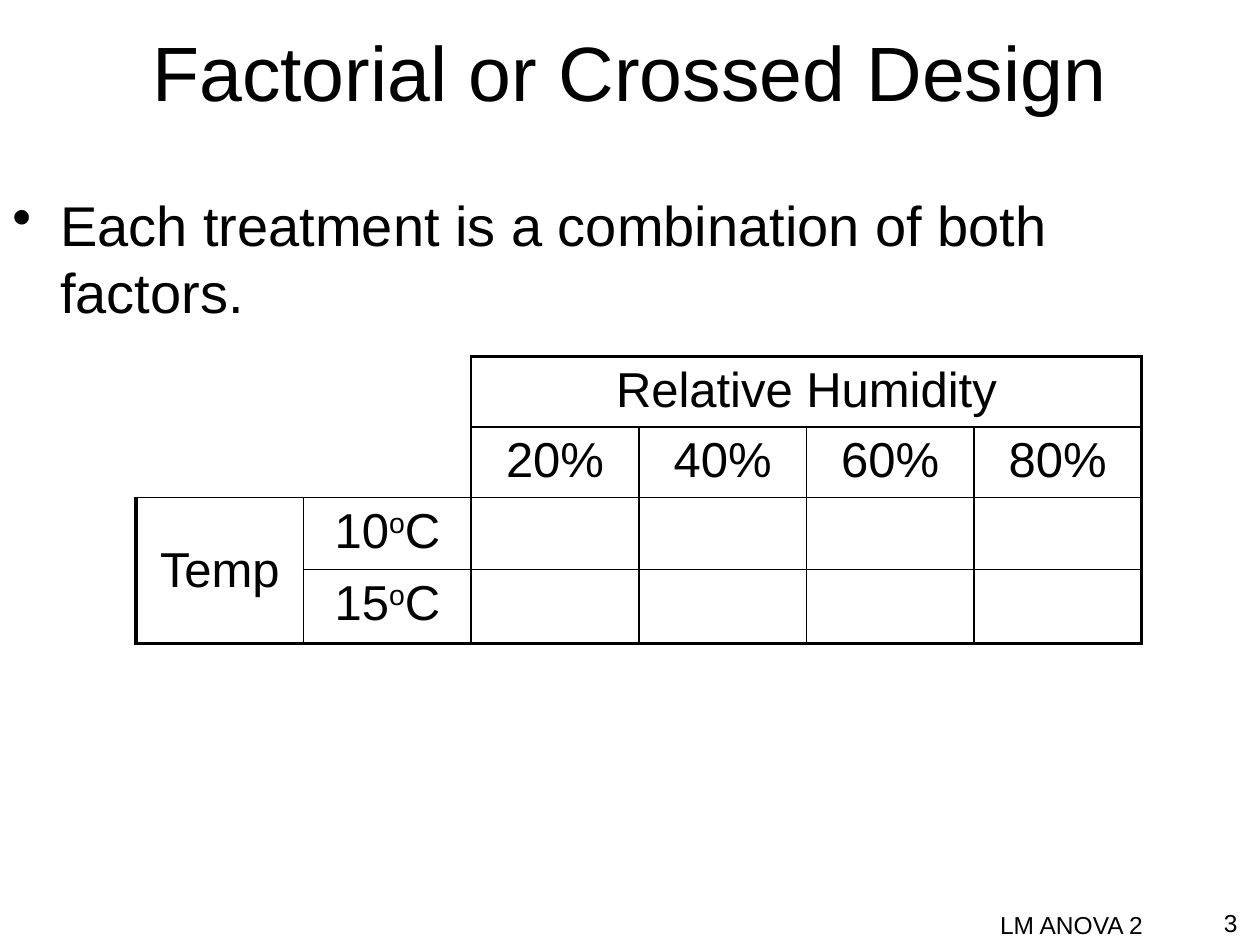
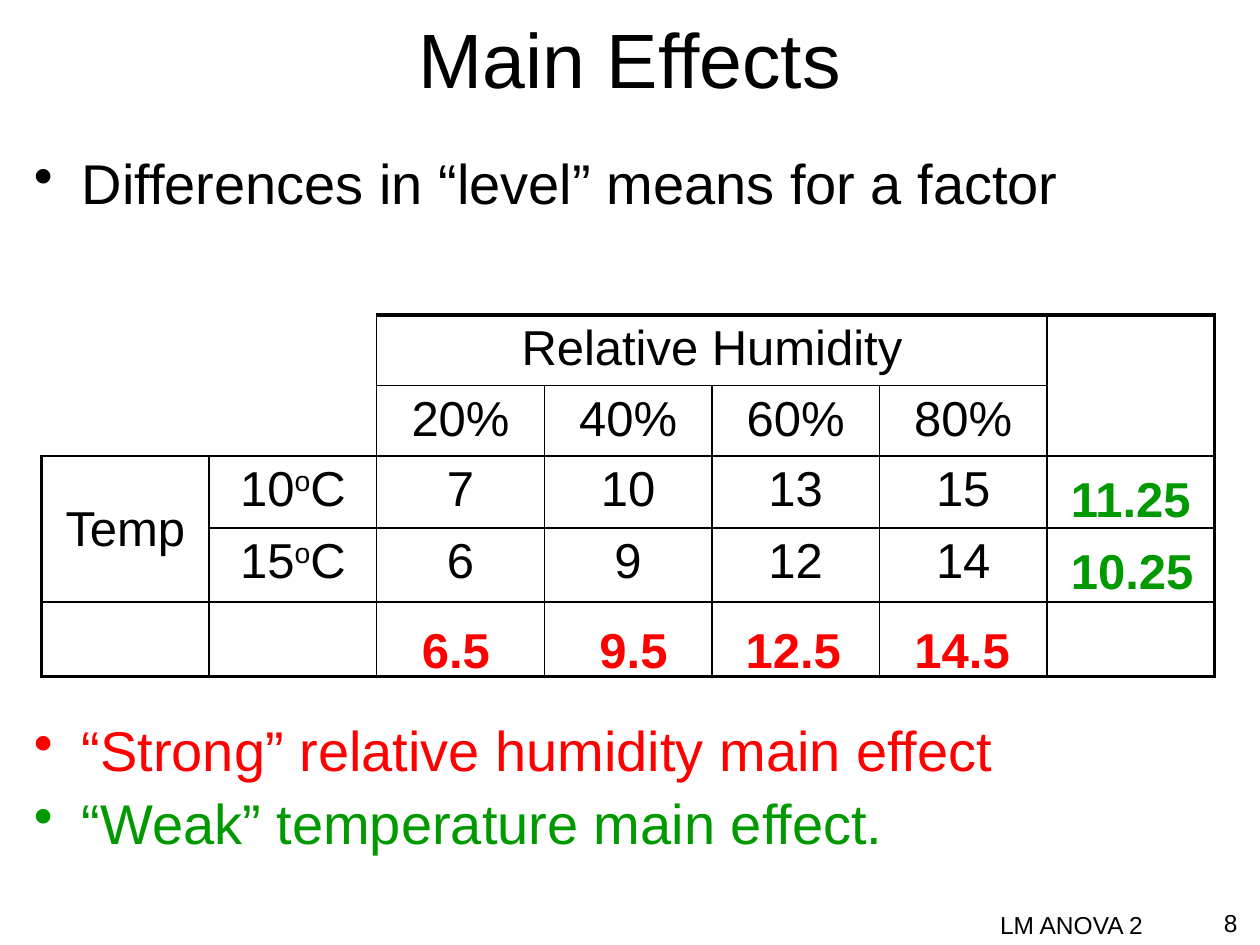
import pptx
import pptx.dml.color
import pptx.enum.text
import pptx.oxml.ns
import pptx.util
from lxml import etree

Inches = pptx.util.Inches
Pt = pptx.util.Pt
ALIGN = pptx.enum.text.PP_ALIGN
ANCHOR = pptx.enum.text.MSO_ANCHOR
FIT = pptx.enum.text.MSO_AUTO_SIZE

COLORS = {"black": "000000", "red": "FF0000", "green": "009900"}
FONT = "Arial"
COL_W = 1.33
THIN, THICK = 1, 2.25
HUMIDITY = ["20%", "40%", "60%", "80%"]
TEMPERATURES = ["10^o^C", "15^o^C"]


def add_xml(parent, tag, **attrs):
    return etree.SubElement(parent, pptx.oxml.ns.qn(tag), attrs)


def add_text(p, text, size=28, color="black", bold=False, align=ALIGN.LEFT):
    """Fill a paragraph; text between two ^ marks is superscript."""
    p.alignment = align
    for i, part in enumerate(text.split("^")):
        r = p.add_run()
        r.text = part
        r.font.name = FONT
        r.font.size = Pt(size)
        r.font.bold = bold
        r.font.color.rgb = pptx.dml.color.RGBColor.from_string(COLORS[color])
        if i % 2:
            r._r.get_or_add_rPr().set("baseline", "30000")


def region(r, c, rows, cols):
    """Name the outlined area that a cell belongs to; None is off the table."""
    if not (0 <= r < rows and 0 <= c < cols):
        return None
    if r < 2 and c < 2:
        return "corner"
    if r == 0 and c < 6:
        return "humidity"
    if r < 2 and c == 6:
        return "row means head"
    if r in (2, 3) and c == 0:
        return "temperature"
    return r, c


def edge_width(here, beyond):
    if here == beyond or {here, beyond} == {"corner", None}:
        return 0
    return THICK if beyond is None else THIN


class Deck:
    def __init__(self):
        self.prs = pptx.Presentation()
        self.prs.slide_width = Inches(10)
        self.prs.slide_height = Inches(7.5)
        self.s = None

    def new_slide(self, title, number, title_box):
        self.s = self.prs.slides.add_slide(self.prs.slide_layouts[6])
        self.text(title_box, title, anchor=ANCHOR.MIDDLE, size=44, align=ALIGN.CENTER)
        self.text((6, 7.17, 3.17, 0.25), "LM ANOVA 2", size=14, align=ALIGN.RIGHT)
        self.text((9.25, 7.16, 0.67, 0.34), str(number), size=14, align=ALIGN.RIGHT)

    def box(self, at, anchor=ANCHOR.TOP, wrap=True):
        tf = self.s.shapes.add_textbox(*map(Inches, at)).text_frame
        tf.word_wrap = wrap
        tf.auto_size = FIT.NONE if wrap else FIT.SHAPE_TO_FIT_TEXT
        tf.vertical_anchor = anchor
        return tf

    def text(self, at, text, anchor=ANCHOR.TOP, wrap=True, **fmt):
        add_text(self.box(at, anchor, wrap).paragraphs[0], text, **fmt)

    def bullets(self, at, items, line_spacing=1.0):
        """Add a bullet list from (text, colour) pairs."""
        tf = self.box(at)
        for i, (text, color) in enumerate(items):
            p = tf.add_paragraph() if i else tf.paragraphs[0]
            p.line_spacing = line_spacing
            p.space_before = Pt(7 if i else 0)
            pPr = p._p.get_or_add_pPr()
            pPr.set("marL", str(Inches(0.38)))
            pPr.set("indent", str(-Inches(0.38)))
            add_xml(pPr, "a:buChar", char="•")
            add_text(p, text, size=32, color=color)

    def borders(self, cell, r, c, rows, cols):
        here = region(r, c, rows, cols)
        height = cell.span_height if cell.is_merge_origin else 1
        width = cell.span_width if cell.is_merge_origin else 1
        beyond = {"a:lnL": (r, c - 1), "a:lnR": (r, c + width),
                  "a:lnT": (r - 1, c), "a:lnB": (r + height, c)}
        tcPr = cell._tc.get_or_add_tcPr()
        for tag, (r2, c2) in beyond.items():
            pts = edge_width(here, region(r2, c2, rows, cols))
            ln = add_xml(tcPr, tag, w=str(Pt(pts)))
            if pts:
                add_xml(add_xml(ln, "a:solidFill"), "a:srgbClr", val=COLORS["black"])
            else:
                add_xml(ln, "a:noFill")

    def design_table(self, left, top, heights, cols, values=()):
        """Add the temperature by humidity table, with the cell values if any."""
        rows = len(heights)
        frame = self.s.shapes.add_table(rows, cols, Inches(left), Inches(top),
                                        Inches(cols * COL_W), Inches(sum(heights)))
        table = frame.table
        table.first_row = table.horz_banding = False
        for col in table.columns:
            col.width = Inches(COL_W)
        for row, height in zip(table.rows, heights):
            row.height = Inches(height)
        table.cell(0, 2).merge(table.cell(0, 5))
        table.cell(2, 0).merge(table.cell(3, 0))

        texts = {(0, 2): "Relative Humidity", (2, 0): "Temp"}
        texts.update({(1, 2 + i): level for i, level in enumerate(HUMIDITY)})
        texts.update({(2 + i, 1): level for i, level in enumerate(TEMPERATURES)})
        for i, line in enumerate(values):
            texts.update({(2 + i, 2 + j): str(v) for j, v in enumerate(line)})

        for r in range(rows):
            for c in range(cols):
                cell = table.cell(r, c)
                self.borders(cell, r, c, rows, cols)
                cell.fill.background()
                if (r, c) in texts:
                    add_text(cell.text_frame.paragraphs[0], texts[r, c], align=ALIGN.CENTER)
        table.cell(2, 0).vertical_anchor = ANCHOR.MIDDLE

    def mean(self, left, top, width, text, color):
        self.text((left, top, width, 0.57), text, wrap=False, color=color, bold=True)


def crossed_design(deck):
    deck.new_slide("Factorial or Crossed Design", 3, (0.5, 0.13, 9, 0.87))
    deck.bullets((0, 1.46, 10, 0.75),
                 [("Each treatment is a combination of both factors.", "black")])
    deck.design_table(1.08, 2.83, [0.56, 0.56, 0.57, 0.59], 6)


def main_effects(deck):
    deck.new_slide("Main Effects", 8, (0.07, 0.13, 9.86, 0.66))
    deck.bullets((0.17, 1.19, 9.67, 0.75),
                 [("Differences in “level” means for a factor", "black")], 0.9)
    deck.design_table(0.33, 2.5, [0.56, 0.56, 0.57, 0.59, 0.59], 7,
                      [[7, 10, 13, 15], [6, 9, 12, 14]])
    deck.bullets((0.17, 5.69, 9.67, 1.3),
                 [("“Strong” relative humidity main effect", "red"),
                  ("“Weak” temperature main effect.", "green")], 0.9)
    for left, width, text in [(3.25, 0.74, "6.5"), (4.66, 0.74, "9.5"),
                              (5.82, 0.96, "12.5"), (7.16, 0.96, "14.5")]:
        deck.mean(left, 4.87, width, text, "red")
    for top, text in [(3.67, "11.25"), (4.24, "10.25")]:
        deck.mean(8.4, top, 1.18, text, "green")


def main():
    deck = Deck()
    crossed_design(deck)
    main_effects(deck)
    deck.prs.save("out.pptx")


if __name__ == "__main__":
    main()
